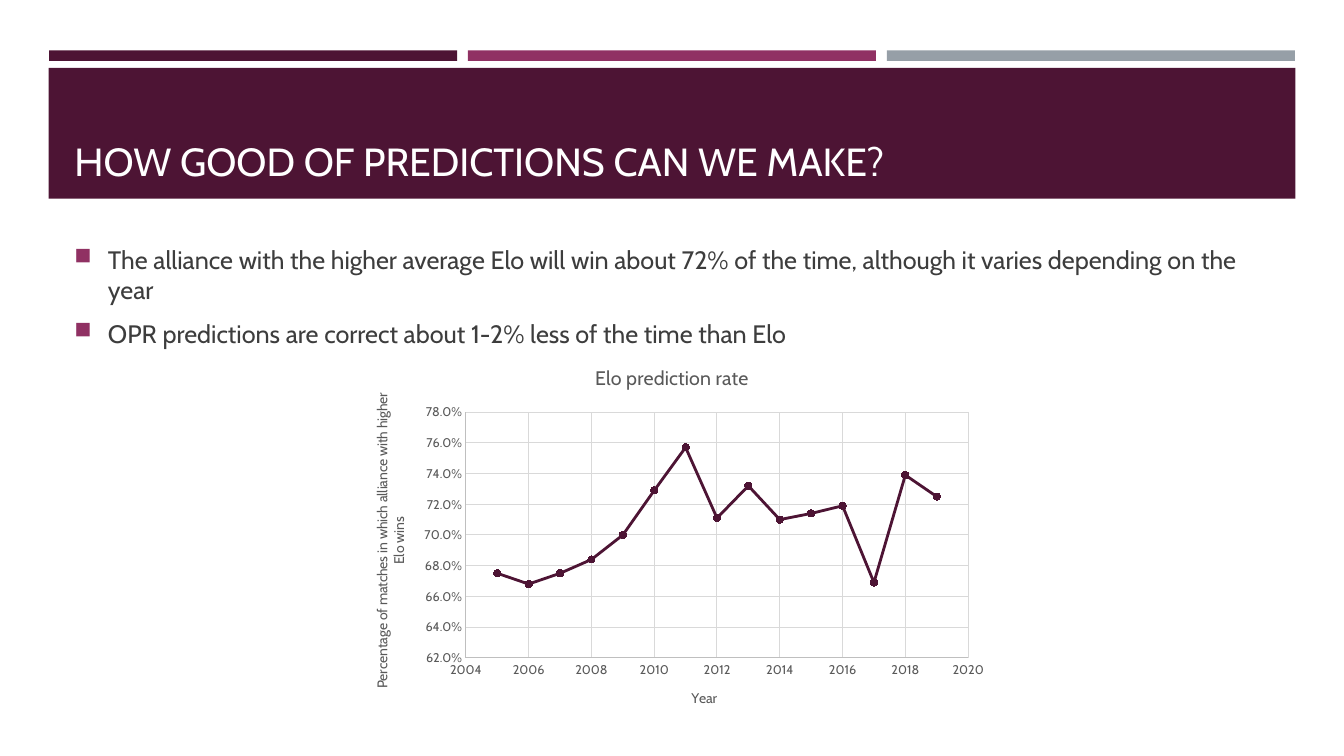
from lxml import etree
from pptx import Presentation
from pptx.chart.data import XyChartData
from pptx.dml.color import RGBColor
from pptx.enum.chart import XL_CHART_TYPE as CT, XL_MARKER_STYLE as MS, XL_TICK_MARK as TM
from pptx.enum.shapes import MSO_SHAPE
from pptx.enum.text import MSO_ANCHOR as ANC, PP_ALIGN
from pptx.oxml import parse_xml
from pptx.oxml.ns import nsdecls, qn
from pptx.util import Pt

FONT, PLUM, ROSE, GRAY = "Cabin", "4D1434", "903163", "595959"


def rgb(hex_color):
    """Turn a hex string into a colour."""
    return RGBColor.from_string(hex_color)


def add_run(p, text, size, color):
    """Add one styled run to a paragraph."""
    r = p.add_run()
    r.text = text
    r.font.name, r.font.size, r.font.bold = FONT, Pt(size), False
    r.font.color.rgb = rgb(color)


prs = Presentation()
prs.slide_width, prs.slide_height = Pt(960), Pt(540)
s = prs.slides.add_slide(prs.slide_layouts[6])

# Three thin strips above the title band
bars = [(35 + i * 299.25, 36, 291.5, 7.5, c) for i, c in enumerate([PLUM, ROSE, "969FA7"])]
bars.append((34.75, 48.5, 890.5, 93.5, PLUM))
for x, y, w, h, color in bars:
    sp = s.shapes.add_shape(MSO_SHAPE.RECTANGLE, Pt(x), Pt(y), Pt(w), Pt(h))
    sp.shadow.inherit = False
    sp.fill.solid()
    sp.fill.fore_color.rgb = rgb(color)
    sp.line.fill.background()

# Title
tf = s.shapes.add_textbox(Pt(46), Pt(55.5), Pt(868), Pt(80)).text_frame
tf.word_wrap, tf.vertical_anchor = True, ANC.BOTTOM
add_run(tf.paragraphs[0], "HOW GOOD OF PREDICTIONS CAN WE MAKE?", 28, "FFFFFF")

# Bullets
bullets = [
    "The alliance with the higher average Elo will win about 72% of the time, "
    "although it varies depending on the year",
    "OPR predictions are correct about 1-2% less of the time than Elo",
]
tf = s.shapes.add_textbox(Pt(46), Pt(171.5), Pt(868), Pt(80)).text_frame
tf.word_wrap, tf.vertical_anchor = True, ANC.MIDDLE
for i, text in enumerate(bullets):
    p = tf.add_paragraph() if i else tf.paragraphs[0]
    p.alignment = PP_ALIGN.LEFT
    p.space_before, p.space_after = Pt(3.6), Pt(6)
    add_run(p, text, 18, "3D3D3D")
    pPr = p._p.get_or_add_pPr()
    pPr.set("marL", str(Pt(24)))
    pPr.set("indent", str(-Pt(24)))
    for xml in (f'<a:buClr {nsdecls("a")}><a:srgbClr val="{ROSE}"/></a:buClr>',
                f'<a:buSzPct {nsdecls("a")} val="92000"/>',
                f'<a:buChar {nsdecls("a")} char="■"/>'):
        pPr.append(parse_xml(xml))

# Elo prediction rate by year
rates = [0.675, 0.668, 0.675, 0.684, 0.7, 0.729, 0.757, 0.711,
         0.732, 0.71, 0.714, 0.719, 0.669, 0.739, 0.725]
data = XyChartData()
series = data.add_series("Elo prediction rate")
for year, rate in enumerate(rates, 2005):
    series.add_data_point(year, rate)
chart = s.shapes.add_chart(CT.XY_SCATTER_LINES, Pt(250), Pt(248.5), Pt(460), Pt(270), data).chart
chart.has_legend = False
chart.font.name, chart.font.size = FONT, Pt(10)
chart.has_title = True
add_run(chart.chart_title.text_frame.paragraphs[0], "Elo prediction rate", 14, GRAY)
chart.plots[0].vary_by_categories = False

line = chart.plots[0].series[0]
line.smooth = False
line.format.line.width = Pt(2)
line.format.line.color.rgb = rgb(PLUM)
line.marker.style, line.marker.size = MS.CIRCLE, 5
line.marker.format.fill.solid()
line.marker.format.fill.fore_color.rgb = rgb(PLUM)
line.marker.format.line.color.rgb = rgb(PLUM)

axes = [
    (chart.category_axis, "Year", 2004, 2020, 2, "General"),
    (chart.value_axis, "Percentage of matches in which alliance with higher Elo wins",
     0.62, 0.78, 0.02, "0.0%"),
]
for axis, title, low, high, step, number_format in axes:
    axis.minimum_scale, axis.maximum_scale, axis.major_unit = low, high, step
    axis.major_tick_mark = axis.minor_tick_mark = TM.NONE
    axis.tick_labels.number_format = number_format
    axis.tick_labels.number_format_is_linked = False
    font = axis.tick_labels.font
    font.name, font.size, font.color.rgb = FONT, Pt(9), rgb(GRAY)
    axis.has_major_gridlines = True
    for fmt, color in ((axis.format, "BFBFBF"), (axis.major_gridlines.format, "D9D9D9")):
        fmt.line.width = Pt(0.75)
        fmt.line.color.rgb = rgb(color)
    tf = axis.axis_title.text_frame
    add_run(tf.paragraphs[0], title, 10, GRAY)
    if axis is chart.value_axis:
        body = tf._txBody.find(qn("a:bodyPr"))
        body.set("rot", "-5400000")
        body.set("vert", "horz")

# Fixed inner plot area, as fractions of the chart
plot_area = chart.element.find(".//" + qn("c:plotArea"))
for old in plot_area.findall(qn("c:layout")):
    plot_area.remove(old)
layout = parse_xml(f'<c:layout {nsdecls("c")}><c:manualLayout/></c:layout>')
for tag, val in (("layoutTarget", "inner"), ("xMode", "edge"), ("yMode", "edge"),
                 ("x", 0.18), ("y", 0.17), ("w", 0.78), ("h", 0.65)):
    etree.SubElement(layout[0], qn("c:" + tag)).set("val", str(val))
plot_area.insert(0, layout)

prs.save("out.pptx")
